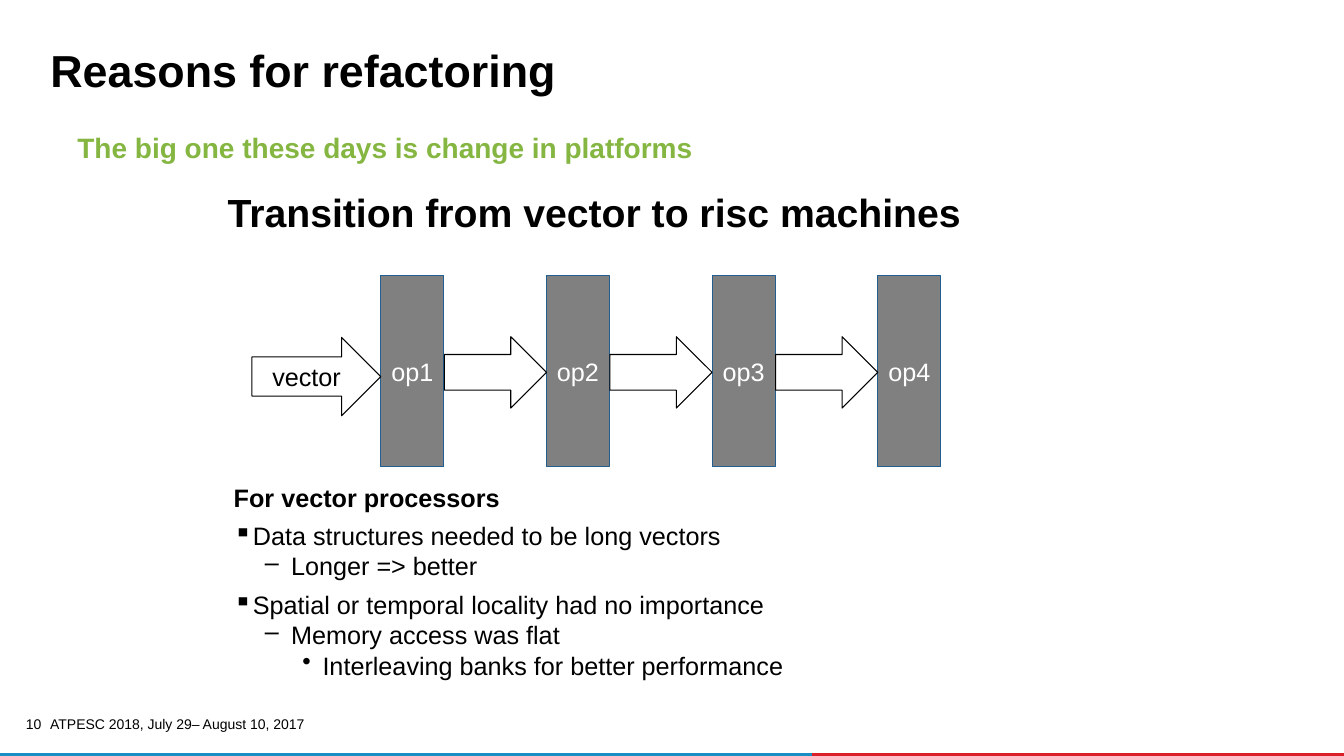
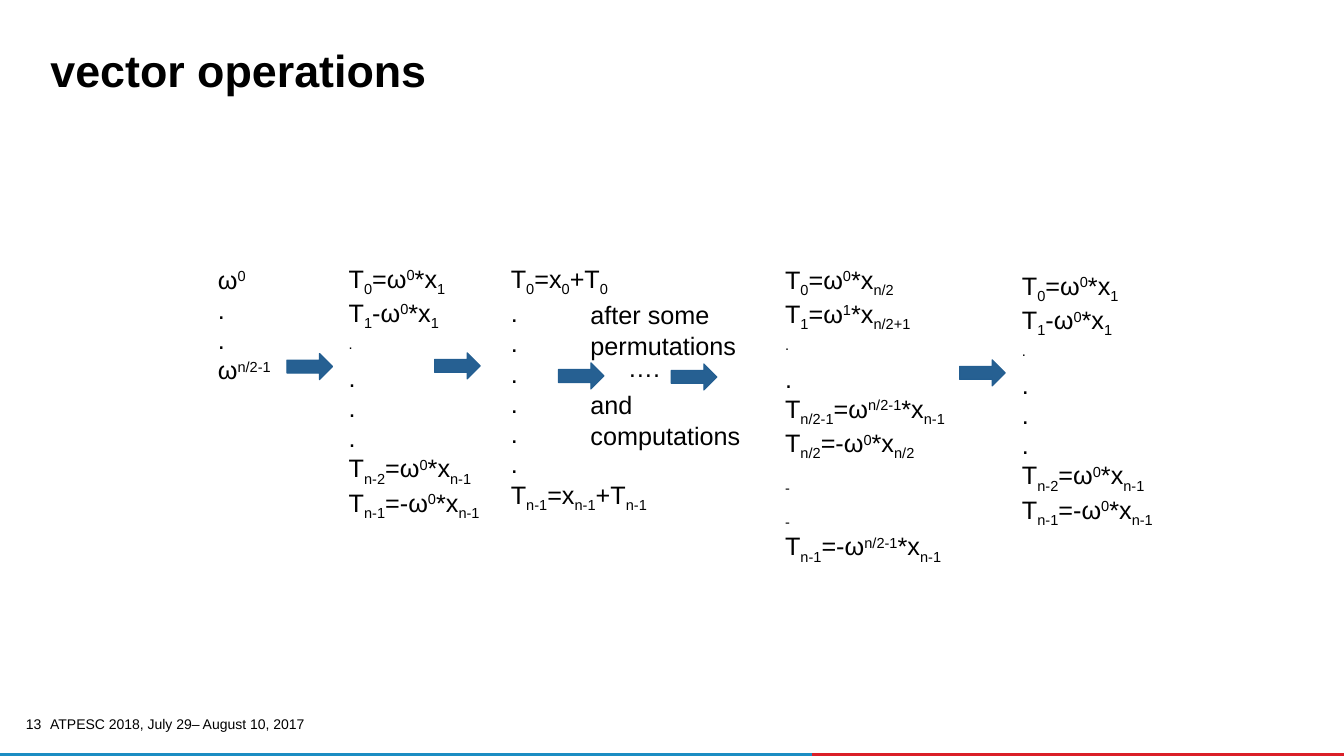
from dataclasses import dataclass

from lxml import etree
from pptx import Presentation
from pptx.dml.color import RGBColor
from pptx.enum import shapes, text
from pptx.oxml.ns import qn
from pptx.util import Pt


@dataclass(frozen=True)
class Theme:
    font: str = "Arial"
    black: str = "000000"
    white: str = "FFFFFF"
    green: str = "84B641"
    gray: str = "808080"
    blue: str = "266092"
    outline: str = "235E91"
    band_blue: str = "1B8DC3"
    band_red: str = "DA1F28"
    title: int = 32
    heading: int = 28
    subtitle: int = 20
    body: int = 18
    footer: int = 10
    inset: tuple = (7.2, 3.6, 7.2, 3.6)


THEME = Theme()
WIDTH, HEIGHT = 960, 540
RECT = shapes.MSO_SHAPE.RECTANGLE
ARROW = shapes.MSO_SHAPE.RIGHT_ARROW
ANCHOR = text.MSO_ANCHOR
ALIGN = text.PP_ALIGN
FOOTER = "ATPESC 2018, July 29– August 10, 2017"

# Bullet, left margin, hanging indent and space before of each list level
LIST_LEVELS = (("▪", 13.7, 13.7, 6), ("–", 41, 18.7, 0), ("•", 63.4, 14.4, 0))
VECTOR_POINTS = (
    (0, "Data structures needed to be long vectors"),
    (1, "Longer => better"),
    (0, "Spatial or temporal locality had no importance"),
    (1, "Memory access was flat"),
    (2, "Interleaving banks for better performance"),
)

# Formulas: _{...} is a subscript, ^{...} a superscript
POWERS = ("ω^{0}", ".", ".", "ω^{n/2-1}")
PRODUCTS = ("T_{0}=ω^{0}*x_{1}", "T_{1}-ω^{0}*x_{1}", "^{.}", ".", ".", ".",
            "T_{n-2}=ω^{0}*x_{n-1}", "T_{n-1}=-ω^{0}*x_{n-1}")
SUMS = ("T_{0}=x_{0}+T_{0}", *"......", "T_{n-1}=x_{n-1}+T_{n-1}")
HALVES = ("T_{0}=ω^{0}*x_{n/2}", "T_{1}=ω^{1}*x_{n/2+1}", "^{.}", ".",
          "T_{n/2-1}=ω^{n/2-1}*x_{n-1}", "T_{n/2}=-ω^{0}*x_{n/2}",
          "_{-}", "_{-}", "T_{n-1}=-ω^{n/2-1}*x_{n-1}")


def place(shape, box):
    shape.left, shape.top, shape.width, shape.height = map(Pt, box)


def set_frame(shape, inset=THEME.inset, anchor=ANCHOR.TOP):
    frame = shape.text_frame
    frame.word_wrap = True
    frame.auto_size = text.MSO_AUTO_SIZE.NONE
    frame.vertical_anchor = anchor
    (frame.margin_left, frame.margin_top,
     frame.margin_right, frame.margin_bottom) = map(Pt, inset)
    return frame


def style(para, size=THEME.body, color=THEME.black, bold=False,
          align=ALIGN.LEFT, spacing=None):
    para.alignment = align
    para.line_spacing = spacing
    for span in para.runs:
        span.font.name = THEME.font
        span.font.size = Pt(size)
        span.font.bold = bold
        span.font.color.rgb = RGBColor.from_string(color)


def add_text(page, box, content, inset=THEME.inset, anchor=ANCHOR.TOP, **look):
    shape = page.shapes.add_textbox(*map(Pt, box))
    frame = set_frame(shape, inset, anchor)
    frame.text = content
    for para in frame.paragraphs:
        style(para, **look)
    return frame


def add_block(page, kind, box, fill, line=None, label="", color=THEME.white):
    shape = page.shapes.add_shape(kind, *map(Pt, box))
    shape.shadow.inherit = False
    shape.fill.solid()
    shape.fill.fore_color.rgb = RGBColor.from_string(fill)
    if line:
        shape.line.color.rgb = RGBColor.from_string(line)
        shape.line.width = Pt(0.75)
    else:
        shape.line.fill.background()
    if label:
        frame = set_frame(shape, (0, 0, 0, 0), ANCHOR.MIDDLE)
        frame.text = label
        style(frame.paragraphs[0], color=color, align=ALIGN.CENTER)


def add_footer(page, number):
    split = 580
    add_block(page, RECT, (split, HEIGHT - 2, WIDTH - split, 2), THEME.band_red)
    add_block(page, RECT, (0, HEIGHT - 2, split, 2), THEME.band_blue)
    add_text(page, (28.8, 509.8, 261, 14.4), FOOTER, inset=(7.2, 0, 7.2, 0),
             anchor=ANCHOR.MIDDLE, size=THEME.footer)
    add_text(page, (13, 512.6, 16.6, 12.2), str(number), inset=(0, 0, 0, 0),
             size=THEME.footer, align=ALIGN.RIGHT, spacing=0.9)


def add_page(deck, title, number):
    page = deck.slides.add_slide(deck.slide_layouts.get_by_name("Title Only"))
    add_footer(page, number)
    place(page.shapes.title, (28.8, 32.4, 895.7, 40.3))
    frame = set_frame(page.shapes.title, anchor=ANCHOR.BOTTOM)
    frame.text = title
    style(frame.paragraphs[0], size=THEME.title, bold=True, spacing=0.85)
    return page


def add_pipeline(page, box):
    """Draw an input arrow, then four operation blocks joined by arrows."""
    left, top, width, height = box
    block_width, entry_width = 45, 92
    first = left + entry_width
    pitch = (width - entry_width - block_width) / 3
    for index in range(4):
        x = first + index * pitch
        add_block(page, RECT, (x, top, block_width, height), THEME.gray,
                  THEME.outline, f"op{index + 1}")
        if index:
            add_block(page, ARROW, (x - 73, top + 43.5, 73, 51),
                      THEME.white, THEME.black)
    add_block(page, ARROW, (left, top + 44, entry_width, 56), THEME.white,
              THEME.black, "vector", THEME.black)


def add_list(page, box, heading, points):
    frame = add_text(page, box, heading, inset=(0, 0, 0, 3.6), bold=True)
    for level, content in points:
        bullet, margin, hanging, before = LIST_LEVELS[level]
        para = frame.add_paragraph()
        para.text = content
        para.level = level
        properties = para._p.get_or_add_pPr()
        properties.set("marL", str(Pt(margin)))
        properties.set("indent", str(-Pt(hanging)))
        etree.SubElement(properties, qn("a:buChar")).set("char", bullet)
        para.space_before = Pt(before)
        style(para)


def write_formula(para, formula):
    pieces = formula.replace("}", "{").split("{")
    for index, piece in enumerate(pieces):
        if index % 2:
            span = para.add_run()
            span.text = piece
            raised = pieces[index - 1].endswith("^")
            span.font._element.set("baseline", "30000" if raised else "-25000")
        elif piece.rstrip("_^"):
            para.add_run().text = piece.rstrip("_^")
    style(para)


def add_formulas(page, box, formulas):
    frame = add_text(page, box, "")
    for index, formula in enumerate(formulas):
        para = frame.add_paragraph() if index else frame.paragraphs[0]
        write_formula(para, formula)


def add_step_arrow(page, left, top):
    add_block(page, ARROW, (left, top, 32.6, 18.7), THEME.blue, THEME.outline)


def add_permutation_note(page, box):
    """Write the note in two halves around a row of dots between arrows."""
    left, top, width, height = box
    frame = add_text(page, box, "after some\npermutations\nand\ncomputations")
    frame.paragraphs[2].space_before = Pt(21)
    add_text(page, (left + 26.7, top + 37.8, 45, 29), "….")
    add_step_arrow(page, left - 15.8, top + 48.6)
    add_step_arrow(page, left + 64.8, top + 49.3)


def build_reasons(deck):
    page = add_page(deck, "Reasons for refactoring", 10)
    add_text(page, (48.2, 92.2, 879, 40),
             "The big one these days is change in platforms",
             size=THEME.subtitle, color=THEME.green, bold=True, spacing=0.9)
    add_text(page, (155.5, 135, 631, 52),
             "Transition from vector to risc machines",
             size=THEME.heading, bold=True, spacing=0.9)
    add_pipeline(page, (180, 197, 492, 136.5))
    add_list(page, (167, 344.2, 477, 184), "For vector processors", VECTOR_POINTS)


def build_operations(deck):
    page = add_page(deck, "vector operations", 13)
    columns = (
        ((148.5, 185, 65, 95), POWERS),
        ((242, 184.3, 125, 175), PRODUCTS),
        ((357.8, 184.3, 125, 182), SUMS),
        ((553.7, 185, 150, 197), HALVES),
        ((722.9, 189.4, 125, 175), PRODUCTS),
    )
    for box, formulas in columns:
        add_formulas(page, box, formulas)
    for left, top in ((205, 252.5), (310.5, 252), (685.5, 257)):
        add_step_arrow(page, left, top)
    add_permutation_note(page, (414.7, 210.6, 130, 117))


def main():
    deck = Presentation()
    deck.slide_width, deck.slide_height = Pt(WIDTH), Pt(HEIGHT)
    build_reasons(deck)
    build_operations(deck)
    deck.save("out.pptx")


if __name__ == "__main__":
    main()
